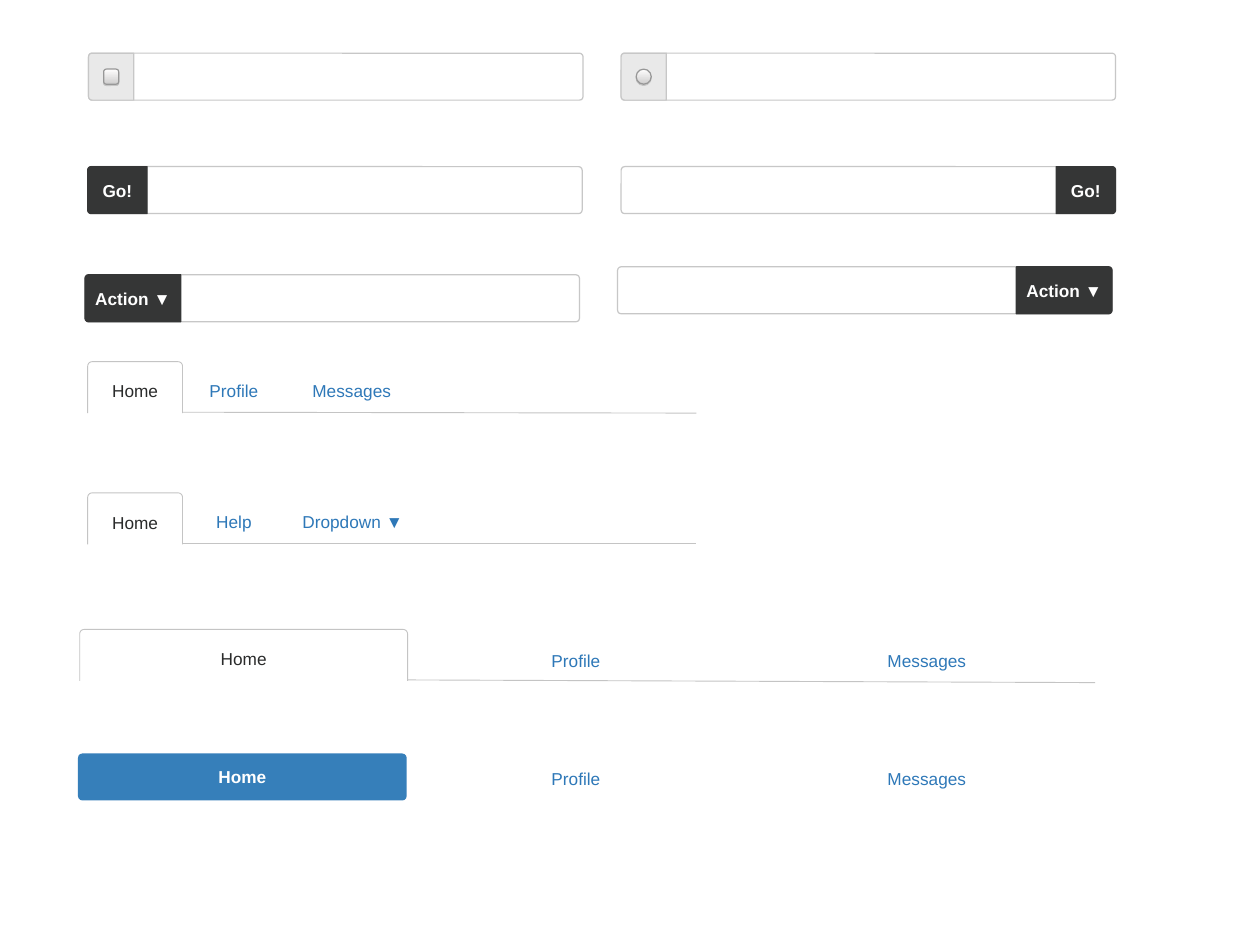
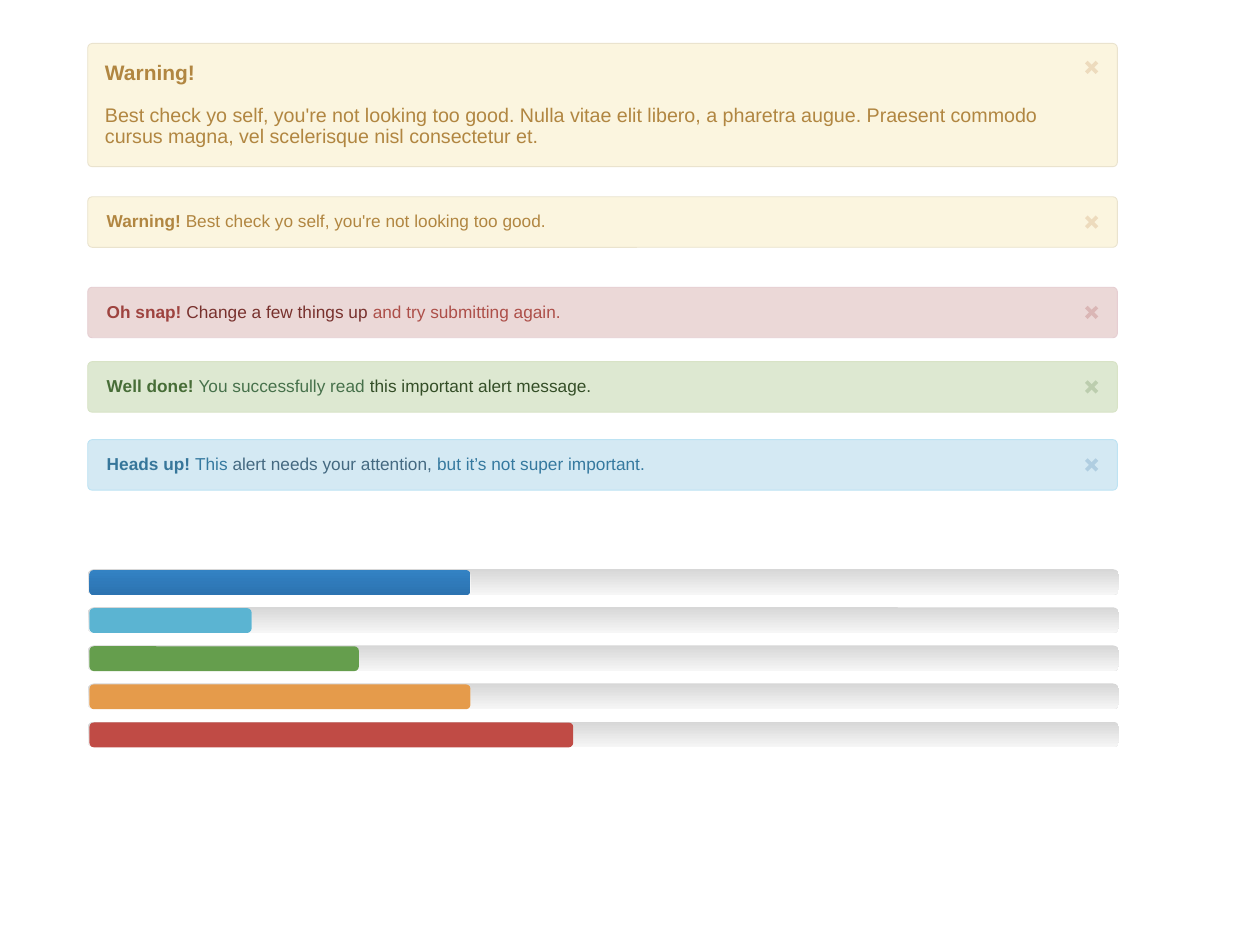
from dataclasses import dataclass
from math import cos, radians, sin

from lxml import etree
from pptx import Presentation
from pptx.dml.color import RGBColor
from pptx.enum.shapes import MSO_CONNECTOR, MSO_SHAPE
from pptx.enum.text import MSO_ANCHOR, PP_ALIGN
from pptx.oxml.ns import qn
from pptx.util import Inches, Pt

ROUND = MSO_SHAPE.ROUNDED_RECTANGLE
OVAL = MSO_SHAPE.OVAL
STRAIGHT = MSO_CONNECTOR.STRAIGHT
MIDDLE = MSO_ANCHOR.MIDDLE
LEFT = PP_ALIGN.LEFT
CENTER = PP_ALIGN.CENTER

WHITE = RGBColor(0xFF, 0xFF, 0xFF)
BLACK = RGBColor(0, 0, 0)
DARK = RGBColor(0x35, 0x36, 0x36)
INK = RGBColor(0x2A, 0x2B, 0x2B)
LINK = RGBColor(0x2E, 0x78, 0xB8)
PILL = RGBColor(0x36, 0x7F, 0xBA)
EDGE = RGBColor(0xC7, 0xC7, 0xC7)
RULE = RGBColor(0xC4, 0xC4, 0xC4)
ADDON = RGBColor(0xE9, 0xE9, 0xE9)
RIM = RGBColor(0x97, 0x97, 0x97)
KNOB = (RGBColor(0xFF, 0xFE, 0xFE), RGBColor(0xCE, 0xCD, 0xCD))
TRACK = (RGBColor(0xD7, 0xD7, 0xD7), RGBColor(0xF6, 0xF6, 0xF6))
BLUE = (RGBColor(0x33, 0x82, 0xC3), RGBColor(0x2C, 0x73, 0xB1))
SKY = RGBColor(0x5B, 0xB4, 0xD2)
GREEN = RGBColor(0x65, 0x9E, 0x4D)
AMBER = RGBColor(0xE5, 0x9B, 0x4B)
RED = RGBColor(0xC0, 0x4B, 0x45)
GOLD = RGBColor(0xB1, 0x86, 0x41)
CREAM = (RGBColor(0xFB, 0xF5, 0xDF), RGBColor(0xEA, 0xE3, 0xCE), RGBColor(0xED, 0xDB, 0xBD))
ROSE = (RGBColor(0xEB, 0xD8, 0xD7), RGBColor(0xE6, 0xCE, 0xD2), RGBColor(0xDA, 0xB6, 0xB5))
MINT = (RGBColor(0xDD, 0xE8, 0xD1), RGBColor(0xD8, 0xE3, 0xC6), RGBColor(0xBC, 0xCD, 0xAE))
ICE = (RGBColor(0xD4, 0xE9, 0xF3), RGBColor(0xBD, 0xE3, 0xF3), RGBColor(0xB0, 0xCE, 0xE1))
OCEAN = RGBColor(0x35, 0x79, 0x9F)

FONT = "Arial"
FIELD_W, FIELD_H, FIELD_R = 5.58, 0.53, 0.04
TAB_H, TAB_R = 0.58, 0.05
ALERT_X, ALERT_W = 0.99, 11.62


@dataclass
class Run:
    text: str
    color: RGBColor
    bold: bool = False
    size: int = 14


@dataclass
class Field:
    x: float
    y: float
    plug: float
    label: str = ""
    right: bool = False


@dataclass
class Tabs:
    x: float
    y: float
    width: float
    end: tuple[float, float]
    drop: float
    links: list[tuple[str, float]]


@dataclass
class Alert:
    y: float
    tones: tuple
    paras: list[list[Run]]
    height: float = 0.57
    inset: float = 0.2
    cross: float = 0.285


def paint(shape, fill=None, line=None, width: float = 1) -> None:
    shape.shadow.inherit = False
    if fill is None:
        shape.fill.background()
    elif isinstance(fill, RGBColor):
        shape.fill.solid()
        shape.fill.fore_color.rgb = fill
    else:
        shape.fill.gradient()
        shape.fill.gradient_angle = 270
        for stop, color in zip(shape.fill.gradient_stops, fill):
            stop.color.rgb = color
    if line is None:
        shape.line.fill.background()
    else:
        shape.line.color.rgb = line
        shape.line.width = Pt(width)


def shade(shape, color: RGBColor, alpha: int) -> None:
    effects = shape._element.spPr.find(qn("a:effectLst"))
    outer = etree.SubElement(effects, qn("a:outerShdw"), blurRad="0",
                             dist=str(Pt(1)), dir="5400000", rotWithShape="0")
    tone = etree.SubElement(outer, qn("a:srgbClr"), val=str(color))
    etree.SubElement(tone, qn("a:alpha"), val=str(alpha * 1000))


def write(shape, paras: list[list[Run]], align=CENTER, inset: float = 0,
          top: float = 0, spacing: float = 1, gap: float = 0) -> None:
    frame = shape.text_frame
    frame.word_wrap = True
    frame.vertical_anchor = MIDDLE
    frame.margin_left = frame.margin_right = Inches(inset)
    frame.margin_top, frame.margin_bottom = Inches(top), 0
    for i, runs in enumerate(paras):
        para = frame.add_paragraph() if i else frame.paragraphs[0]
        para.alignment = align
        para.line_spacing = spacing
        if i:
            para.space_before = Pt(gap)
        for item in runs:
            run = para.add_run()
            run.text = item.text
            run.font.name = FONT
            run.font.size = Pt(item.size)
            run.font.bold = item.bold
            run.font.color.rgb = item.color


def add_box(slide, kind, x: float, y: float, w: float, h: float, radius: float = 0):
    shape = slide.shapes.add_shape(kind, Inches(x), Inches(y), Inches(w), Inches(h))
    if radius:
        shape.adjustments[0] = radius / min(w, h)
    return shape


def add_line(slide, x1: float, y1: float, x2: float, y2: float,
             color: RGBColor, width: float) -> None:
    line = slide.shapes.add_connector(STRAIGHT, Inches(x1), Inches(y1), Inches(x2), Inches(y2))
    line.line.color.rgb = color
    line.line.width = Pt(width)
    etree.SubElement(line._element.spPr, qn("a:effectLst"))


def arc(x: float, y: float, r: float, start: int) -> list[tuple[float, float]]:
    turns = [radians(start + 15 * i) for i in range(7)]
    return [(x + r * cos(t), y + r * sin(t)) for t in turns]


def trace(slide, points: list[tuple[float, float]], close: bool):
    spots = [(Inches(x), Inches(y)) for x, y in points]
    path = slide.shapes.build_freeform(*spots[0])
    path.add_line_segments(spots[1:], close=close)
    return path.convert_to_shape()


def add_field(slide, field: Field) -> None:
    x, y, w, r = field.x, field.y, field.plug, FIELD_R
    paint(add_box(slide, ROUND, x, y, FIELD_W, FIELD_H, r), None, EDGE)
    points = [(x + w, y), (x + w, y + FIELD_H)]
    points += arc(x + r, y + FIELD_H - r, r, 90) + arc(x + r, y + r, r, 180)
    if field.right:
        points = [(2 * x + FIELD_W - px, py) for px, py in points]
    plug = trace(slide, points, True)
    if not field.label:
        paint(plug, ADDON, EDGE)
        return
    paint(plug, DARK, DARK)
    word, *mark = field.label.partition("▼")
    runs = [Run(word, WHITE, True)]
    if mark[0]:
        runs.append(Run(mark[0], WHITE))
    write(plug, [runs])


def add_knob(slide, kind, x: float, radius: float = 0) -> None:
    knob = add_box(slide, kind, x, 0.78, 0.17, 0.17, radius)
    paint(knob, KNOB, RIM)
    shade(knob, BLACK, 15)


def add_link(slide, text: str, x: float, y: float) -> None:
    w, h = 1.52, 0.39
    box = slide.shapes.add_textbox(Inches(x - w / 2), Inches(y - h / 2), Inches(w), Inches(h))
    write(box, [[Run(text, LINK)]])


def add_tabs(slide, tabs: Tabs) -> None:
    x, y, w, r = tabs.x, tabs.y, tabs.width, TAB_R
    points = [(x, y + TAB_H)] + arc(x + r, y + r, r, 180)
    points += arc(x + w - r, y + r, r, 270) + [(x + w, y + TAB_H)]
    tab = trace(slide, points, False)
    paint(tab, None, RULE, 0.75)
    write(tab, [[Run("Home", INK)]], top=0.08)
    add_line(slide, x + w, y + TAB_H - 0.01, *tabs.end, RULE, 0.75)
    for text, mid in tabs.links:
        add_link(slide, text, mid, y + tabs.drop)


def add_alert(slide, alert: Alert) -> None:
    fill, edge, mark = alert.tones
    box = add_box(slide, ROUND, ALERT_X, alert.y, ALERT_W, alert.height, 0.05)
    paint(box, fill, edge, 0.75)
    write(box, alert.paras, LEFT, alert.inset, spacing=0.9, gap=16.5)
    x, y, half = 12.32, alert.y + alert.cross, 0.06
    for rise in (half, -half):
        add_line(slide, x - half, y - rise, x + half, y + rise, mark, 3)


def add_bar(slide, y: float, width: float, fill) -> None:
    paint(add_box(slide, ROUND, 0.99, y, 11.64, 0.29, 0.07), TRACK)
    bar = add_box(slide, ROUND, 1.01, y + 0.01, width, 0.28, 0.05)
    paint(bar, fill)
    shade(bar, WHITE, 75)


FIELDS = [
    Field(1, 0.6, 0.51),
    Field(7.01, 0.6, 0.51),
    Field(0.99, 1.88, 0.67, "Go!"),
    Field(7.01, 1.88, 0.67, "Go!", True),
    Field(0.96, 3.1, 1.08, "Action ▼"),
    Field(6.97, 3.01, 1.08, "Action ▼", True),
]
TABS = [
    Tabs(0.99, 4.08, 1.07, (7.86, 4.66), 0.33, [("Profile", 2.64), ("Messages", 3.97)]),
    Tabs(0.99, 5.56, 1.07, (7.86, 6.13), 0.32, [("Help", 2.64), ("Dropdown ▼", 3.98)]),
    Tabs(0.9, 7.1, 3.7, (12.36, 7.7), 0.35, [("Profile", 6.5), ("Messages", 10.46)]),
]
ADVICE = "Best check yo self, you're not looking too good."
ALERTS = [
    Alert(0.49, CREAM, [
        [Run("Warning!", GOLD, True, 17)],
        [Run(ADVICE + " Nulla vitae elit libero, a pharetra augue. Praesent commodo "
             "cursus magna, vel scelerisque nisl consectetur et.", GOLD, size=16)],
    ], 1.39, 0.18, 0.27),
    Alert(2.22, CREAM, [[Run("Warning!", GOLD, True), Run(" " + ADVICE, GOLD)]]),
    Alert(3.24, ROSE, [[
        Run("Oh snap! ", RGBColor(0x9E, 0x43, 0x3F), True),
        Run("Change a few things up ", RGBColor(0x78, 0x31, 0x2D)),
        Run("and try submitting again.", RGBColor(0xAD, 0x4F, 0x49)),
    ]]),
    Alert(4.08, MINT, [[
        Run("Well done! ", RGBColor(0x47, 0x6D, 0x37), True),
        Run("You successfully read ", RGBColor(0x47, 0x71, 0x4B)),
        Run("this important alert message.", RGBColor(0x34, 0x4E, 0x27)),
    ]]),
    Alert(4.96, ICE, [[
        Run("Heads up! ", RGBColor(0x36, 0x76, 0x9A), True),
        Run("This ", OCEAN),
        Run("alert needs your attention, ", RGBColor(0x44, 0x69, 0x81)),
        Run("but it’s not super important.", OCEAN),
    ]]),
]
BARS = [(4.3, BLUE), (1.83, SKY), (3.04, GREEN), (4.3, AMBER), (5.46, RED)]


def main() -> None:
    deck = Presentation()
    deck.slide_width, deck.slide_height = Inches(14.22), Inches(10.66)
    forms, notes = [deck.slides.add_slide(deck.slide_layouts[6]) for _ in range(2)]

    for field in FIELDS:
        add_field(forms, field)
    add_knob(forms, ROUND, 1.17, 0.03)
    add_knob(forms, OVAL, 7.18)
    for tabs in TABS:
        add_tabs(forms, tabs)
    pill = add_box(forms, ROUND, 0.88, 8.5, 3.71, FIELD_H, 0.05)
    paint(pill, PILL)
    write(pill, [[Run("Home", WHITE, True)]])
    for text, mid in TABS[-1].links:
        add_link(forms, text, mid, 8.78)

    for alert in ALERTS:
        add_alert(notes, alert)
    for i, (width, fill) in enumerate(BARS):
        add_bar(notes, 6.42 + 0.43 * i, width, fill)
    deck.save("out.pptx")


if __name__ == "__main__":
    main()
